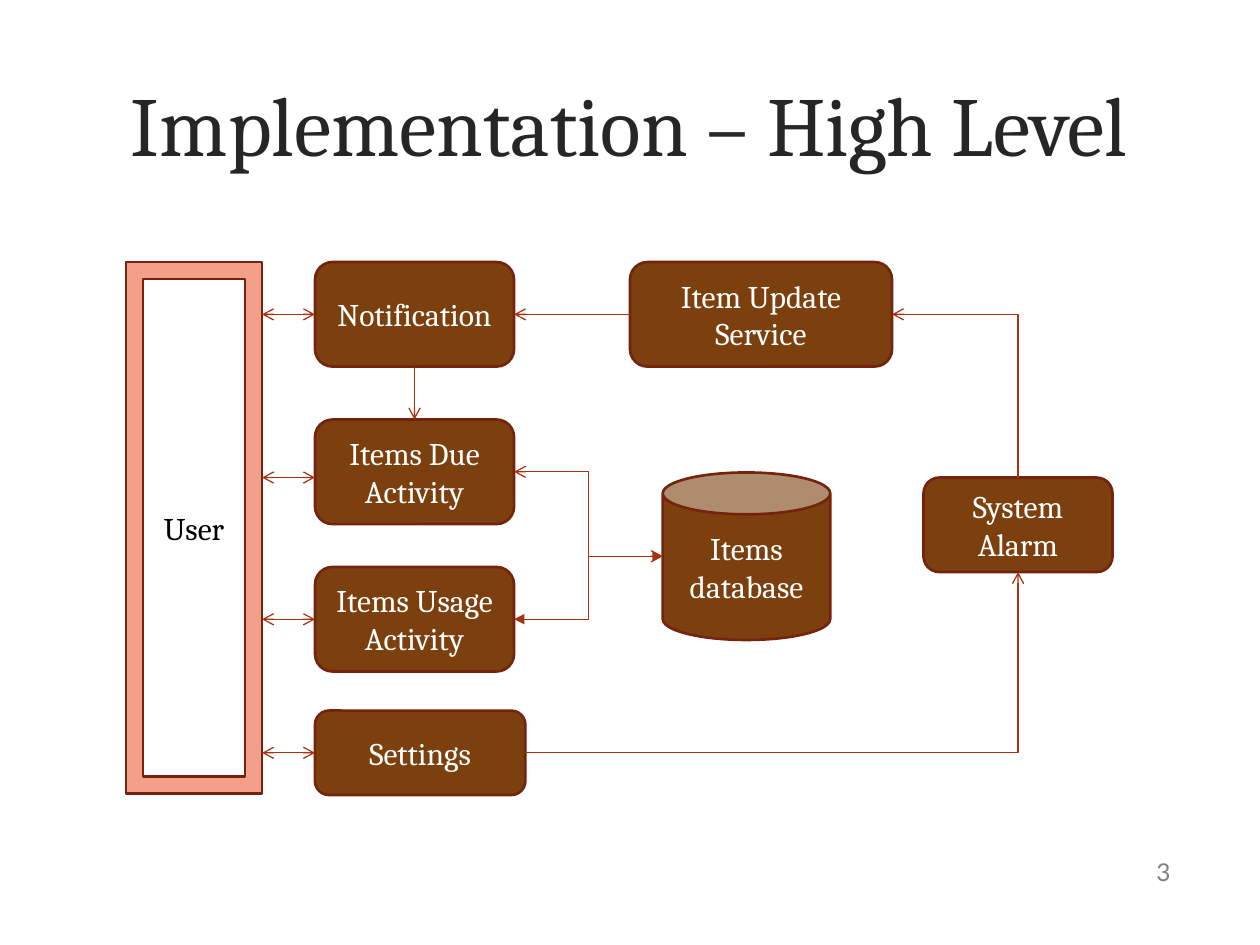
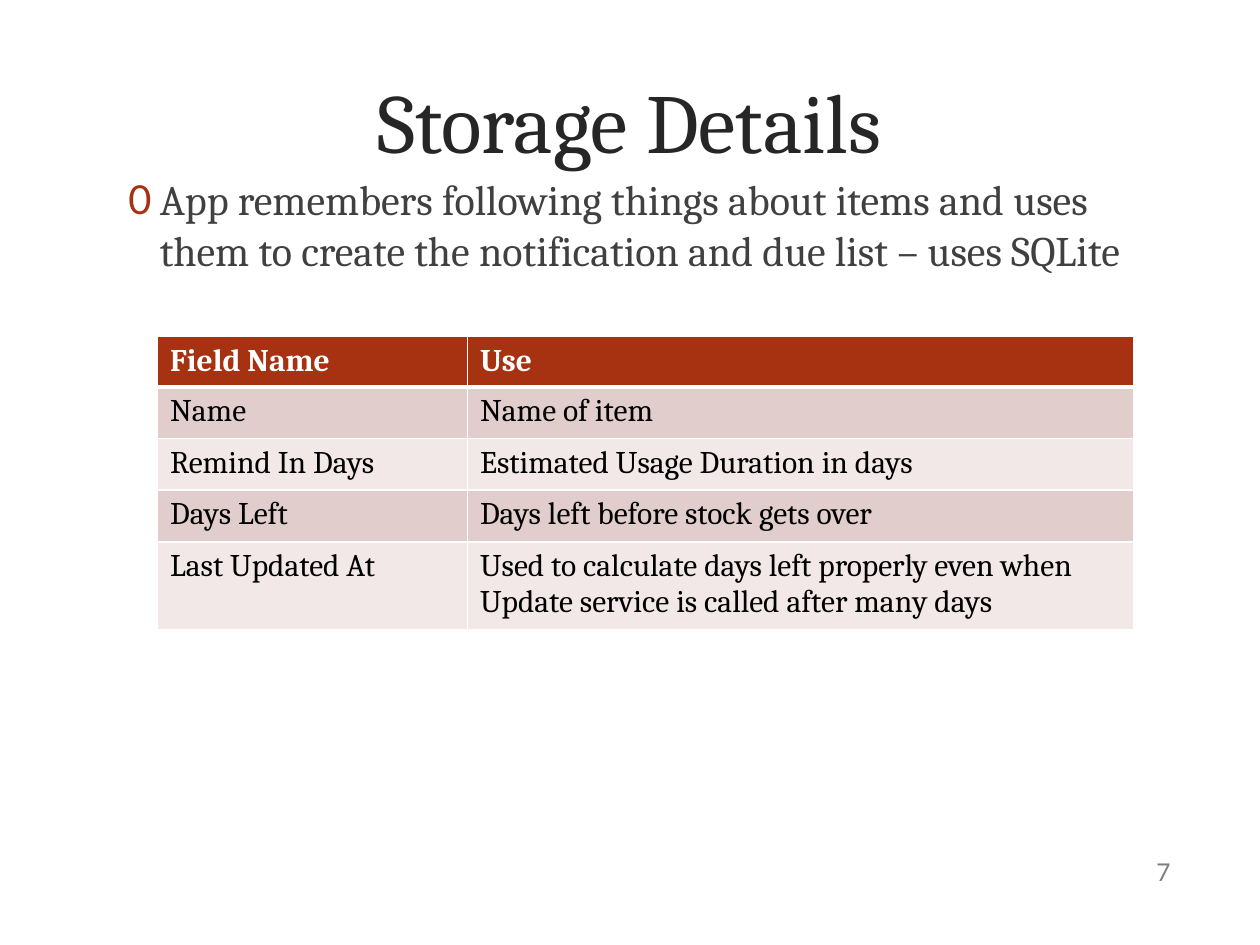
"""Build the implementation overview and storage details slides."""

import dataclasses
from typing import Optional

import pptx
import pptx.dml.color
import pptx.enum.shapes
import pptx.enum.text
import pptx.oxml
import pptx.oxml.ns
import pptx.shapes.autoshape
import pptx.shapes.connector
import pptx.slide
import pptx.text.text
import pptx.util

Inches = pptx.util.Inches
Shape = pptx.enum.shapes.MSO_SHAPE
Connector = pptx.enum.shapes.MSO_CONNECTOR
Align = pptx.enum.text.PP_ALIGN
Anchor = pptx.enum.text.MSO_ANCHOR

SERIF = "Cambria"
SANS = "Lato"
WHITE = "FFFFFF"
BLACK = "000000"
RUST = "A63212"
BROWN = "7C400F"
OUTLINE = "75230C"
SALMON = "F2A089"
TITLE_INK = "262626"
BODY_INK = "404040"
NUMBER_INK = "808080"
BANDS = ("E1CECC", "F1E8E7")
TOP, LEFT, BOTTOM, RIGHT = range(4)


@dataclasses.dataclass(frozen=True)
class Area:
    """A rectangle in inches."""

    left: float
    top: float
    width: float
    height: float


@dataclasses.dataclass(frozen=True)
class Style:
    """The look of one piece of text."""

    size: float
    color: str
    font: str = SERIF
    bold: bool = False
    align: Align = Align.LEFT


@dataclasses.dataclass(frozen=True)
class Block:
    """A labelled shape in the diagram."""

    label: str
    area: Area
    kind: Shape = Shape.ROUNDED_RECTANGLE
    fill: str = BROWN
    ink: str = WHITE


@dataclasses.dataclass(frozen=True)
class End:
    """A connector end, joined to a block when one is named."""

    x: float
    y: float
    block: Optional[Block] = None
    side: int = TOP


@dataclasses.dataclass(frozen=True)
class Link:
    """A connector with optional arrowheads."""

    begin: End
    end: End
    head: str = "none"
    tail: str = "arrow"
    preset: str = "line"


TITLE = Style(48, TITLE_INK, align=Align.CENTER)
BODY = Style(24, BODY_INK)
NUMBER = Style(14, NUMBER_INK, SANS, align=Align.RIGHT)
HEADER = Style(18, WHITE, bold=True)
CELL = Style(18, BLACK)

USER = Block("User", Area(1, 2.08, 1.08, 4.22), Shape.FRAME, SALMON, BLACK)
NOTIFICATION = Block("Notification", Area(2.5, 2.08, 1.58, 0.83))
ITEMS_DUE = Block("Items Due Activity", Area(2.5, 3.33, 1.58, 0.83))
ITEMS_USAGE = Block("Items Usage Activity", Area(2.5, 4.5, 1.58, 0.83))
SETTINGS = Block("Settings", Area(2.5, 5.64, 1.67, 0.67))
UPDATE_SERVICE = Block("Item Update Service", Area(5, 2.08, 2.08, 0.83))
DATABASE = Block("Items database", Area(5.26, 3.75, 1.33, 1.33), Shape.CAN)
ALARM = Block("System Alarm", Area(7.33, 3.79, 1.5, 0.75))
BLOCKS = (ALARM, DATABASE, NOTIFICATION, UPDATE_SERVICE, ITEMS_DUE, ITEMS_USAGE, SETTINGS, USER)

FIELDS = (
    ("Field Name", "Use"),
    ("Name", "Name of item"),
    ("Remind In Days", "Estimated Usage Duration in days"),
    ("Days Left", "Days left before stock gets over"),
    ("Last Updated At", "Used to calculate days left properly even when Update service is called after many days"),
)
COLUMN_WIDTHS = (2.46, 5.29)
ROW_HEIGHTS = (0.38, 0.41, 0.41, 0.41, 0.66)


def rgb(value: str) -> pptx.dml.color.RGBColor:
    """Turn a hex string into a colour."""
    return pptx.dml.color.RGBColor.from_string(value)


def element(markup: str):
    """Parse a drawing element given without its namespace."""
    name, _, rest = markup.partition(" ")
    return pptx.oxml.parse_xml(f"<a:{name} {pptx.oxml.ns.nsdecls('a')} {rest}")


def emus(area: Area) -> tuple[int, ...]:
    """Convert an area to lengths."""
    return tuple(Inches(length) for length in dataclasses.astuple(area))


def write(frame: pptx.text.text.TextFrame, text: str, style: Style) -> pptx.text.text._Paragraph:
    """Write one styled paragraph."""
    frame.word_wrap = True
    para = frame.paragraphs[0]
    para.text = text
    para.alignment = style.align
    para.font.name = style.font
    para.font.size = pptx.util.Pt(style.size)
    para.font.bold = style.bold
    para.font.color.rgb = rgb(style.color)
    return para


def add_text(page: pptx.slide.Slide, area: Area, text: str, style: Style,
             anchor: Anchor = Anchor.MIDDLE) -> pptx.text.text._Paragraph:
    """Add a text box."""
    frame = page.shapes.add_textbox(*emus(area)).text_frame
    frame.vertical_anchor = anchor
    return write(frame, text, style)


def add_page(deck, title: str, title_area: Area, number: int) -> pptx.slide.Slide:
    """Add a blank page with its title and number."""
    page = deck.slides.add_slide(deck.slide_layouts[6])
    add_text(page, title_area, title, TITLE)
    add_text(page, Area(7.06, 6.72, 2.33, 0.4), str(number), NUMBER)
    return page


def add_block(page: pptx.slide.Slide, block: Block) -> pptx.shapes.autoshape.Shape:
    """Draw a labelled block."""
    box = page.shapes.add_shape(block.kind, *emus(block.area))
    box.shadow.inherit = False
    box.fill.solid()
    box.fill.fore_color.rgb = rgb(block.fill)
    box.line.color.rgb = rgb(OUTLINE)
    box.line.width = pptx.util.Pt(1.5)
    box.text_frame.vertical_anchor = Anchor.MIDDLE
    write(box.text_frame, block.label, Style(18, block.ink, align=Align.CENTER))
    return box


def middle(block: Block, side: int, joined: bool = True) -> End:
    """Find the middle of a block's side."""
    area = block.area
    across = {LEFT: 0, RIGHT: 1}.get(side, 0.5)
    down = {TOP: 0, BOTTOM: 1}.get(side, 0.5)
    return End(area.left + across * area.width, area.top + down * area.height,
               block if joined else None, side)


def user_link(end: End) -> Link:
    """Link the user's right edge to an end at the same height."""
    return Link(End(USER.area.left + USER.area.width, end.y), end, head="arrow")


def diagram_links() -> list[Link]:
    """List the connectors of the diagram."""
    storage = middle(DATABASE, LEFT, joined=False)
    return [
        Link(middle(SETTINGS, RIGHT), middle(ALARM, BOTTOM), preset="bentConnector2"),
        Link(middle(UPDATE_SERVICE, RIGHT), middle(ALARM, TOP), "arrow", "none", "bentConnector2"),
        Link(middle(UPDATE_SERVICE, LEFT), middle(NOTIFICATION, RIGHT)),
        Link(middle(NOTIFICATION, BOTTOM), middle(ITEMS_DUE, TOP)),
        Link(middle(ITEMS_DUE, RIGHT, False), storage, "arrow", "arrow", "bentConnector3"),
        Link(middle(ITEMS_USAGE, RIGHT, False), storage, "triangle", "triangle", "bentConnector3"),
        user_link(End(ITEMS_DUE.area.left, 3.79)),
        *(user_link(middle(block, LEFT)) for block in (NOTIFICATION, ITEMS_USAGE, SETTINGS)),
    ]


def add_link(page: pptx.slide.Slide, link: Link, boxes: dict) -> pptx.shapes.connector.Connector:
    """Draw a connector and join its ends."""
    kind = Connector.STRAIGHT if link.preset == "line" else Connector.ELBOW
    points = (link.begin.x, link.begin.y, link.end.x, link.end.y)
    line = page.shapes.add_connector(kind, *(Inches(value) for value in points))
    if link.begin.block:
        line.begin_connect(boxes[link.begin.block], link.begin.side)
    if link.end.block:
        line.end_connect(boxes[link.end.block], link.end.side)
    line.line.color.rgb = rgb(RUST)
    line.line.width = pptx.util.Pt(0.75)
    properties = line._element.spPr
    properties.find(pptx.oxml.ns.qn("a:prstGeom")).set("prst", link.preset)
    outline = line.line._get_or_add_ln()
    outline.append(element(f'headEnd type="{link.head}"/>'))
    outline.append(element(f'tailEnd type="{link.tail}"/>'))
    properties.append(element("effectLst />"))
    return line


def add_bullet(para: pptx.text.text._Paragraph) -> None:
    """Give a paragraph a hanging bullet."""
    para.space_before = pptx.util.Pt(4.8)
    properties = para._p.get_or_add_pPr()
    properties.set("marL", str(Inches(0.25)))
    properties.set("indent", str(Inches(-0.25)))
    bullet = (f'buClr ><a:srgbClr val="{RUST}"/></a:buClr>', 'buSzPct val="95000"/>',
              f'buFont typeface="{SANS}"/>', 'buChar char="0"/>')
    successor = properties.find(pptx.oxml.ns.qn("a:defRPr"))
    for markup in bullet:
        successor.addprevious(element(markup))


def add_borders(cell, top: float, bottom: float) -> None:
    """Draw white borders around a cell."""
    properties = cell._tc.get_or_add_tcPr()
    for index, (side, width) in enumerate(zip("LRTB", (1, 1, top, bottom))):
        properties.insert(index, element(
            f'ln{side} w="{pptx.util.Pt(width)}"><a:solidFill><a:srgbClr val="{WHITE}"/>'
            f'</a:solidFill></a:ln{side}>'))


def add_field_table(page: pptx.slide.Slide) -> None:
    """Add the table of stored fields."""
    area = Area(1.25, 2.67, sum(COLUMN_WIDTHS), sum(ROW_HEIGHTS))
    table = page.shapes.add_table(len(FIELDS), len(COLUMN_WIDTHS), *emus(area)).table
    for column, width in zip(table.columns, COLUMN_WIDTHS):
        column.width = Inches(width)
    for row, height in zip(table.rows, ROW_HEIGHTS):
        row.height = Inches(height)
    for row_index, texts in enumerate(FIELDS):
        header = row_index == 0
        for column_index, text in enumerate(texts):
            cell = table.cell(row_index, column_index)
            write(cell.text_frame, text, HEADER if header else CELL)
            cell.fill.solid()
            cell.fill.fore_color.rgb = rgb(RUST if header else BANDS[(row_index - 1) % 2])
            add_borders(cell, 3 if row_index == 1 else 1, 3 if header else 1)


def main() -> None:
    """Build and save the deck."""
    deck = pptx.Presentation()
    deck.slide_width, deck.slide_height = Inches(10), Inches(7.5)

    page = add_page(deck, "Implementation – High Level", Area(0.6, 0.42, 8.79, 1.11), 3)
    boxes = {block: add_block(page, block) for block in BLOCKS}
    for link in diagram_links():
        add_link(page, link, boxes)

    page = add_page(deck, "Storage Details", Area(0.6, 0.48, 8.79, 0.94), 7)
    add_bullet(add_text(
        page, Area(0.92, 1.33, 8.17, 5.22),
        "App remembers following things about items and uses them to create the "
        "notification and due list – uses SQLite", BODY, Anchor.TOP))
    add_field_table(page)

    deck.save("out.pptx")


if __name__ == "__main__":
    main()
